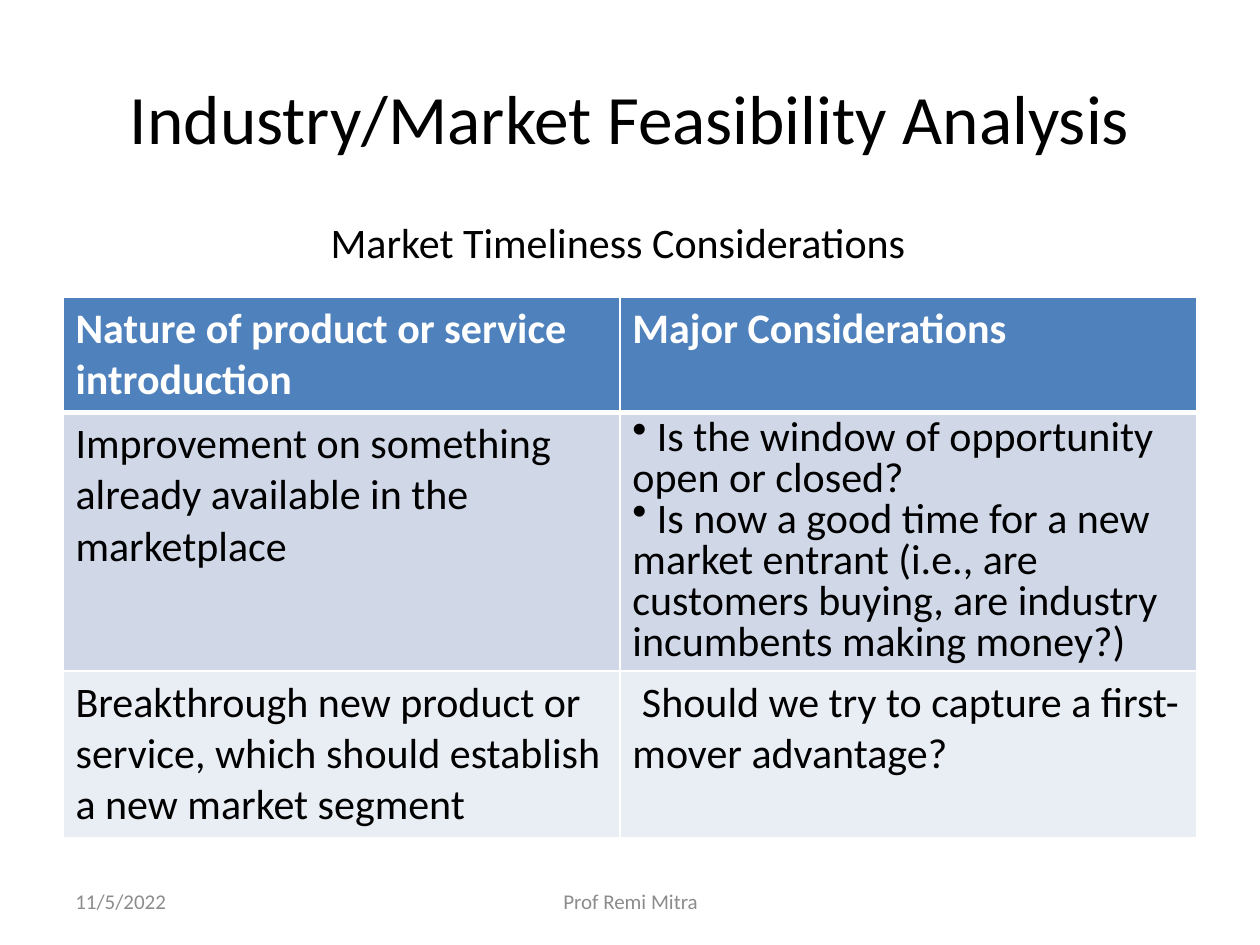
from lxml.etree import SubElement
from pptx import Presentation
from pptx.dml.color import RGBColor
from pptx.enum.text import MSO_ANCHOR, PP_ALIGN
from pptx.oxml.ns import qn
from pptx.util import Inches, Pt


def add_run(para, text, size, color, bold=False):
    span = para.add_run()
    span.text = text
    span.font.name = "Calibri"
    span.font.size = Pt(size)
    span.font.bold = bold
    span.font.color.rgb = RGBColor.from_string(color)


def set_border(cell, side, width):
    line = SubElement(cell._tc.get_or_add_tcPr(), qn("a:" + side), w=str(Pt(width)))
    fill = SubElement(line, qn("a:solidFill"))
    SubElement(fill, qn("a:srgbClr"), val="FFFFFF")


deck = Presentation()
deck.slide_width, deck.slide_height = Inches(10), Inches(7.5)
page = deck.slides.add_slide(deck.slide_layouts[5])

# Title
title = page.shapes.title
title.left, title.top = Inches(0.5), Inches(0.3)
title.width, title.height = Inches(9), Inches(1.25)
title.text_frame.vertical_anchor = MSO_ANCHOR.MIDDLE
para = title.text_frame.paragraphs[0]
para.alignment = PP_ALIGN.CENTER
add_run(para, "Industry/Market Feasibility Analysis", 39.6, "000000")

# Table: each cell is a list of paragraphs
rows = [
    [["Nature of product or service introduction"], ["Major Considerations"]],
    [["Improvement on something already available in the marketplace"],
     [" Is the window of opportunity open or closed?",
      " Is now a good time for a new market entrant (i.e., are customers buying, "
      "are industry incumbents making money?)"]],
    [["Breakthrough new product or service, which should establish a new market segment"],
     [" Should we try to capture a first-mover advantage?"]],
]
row_fills = ["4F81BD", "D0D8E8", "E9EDF4"]
table = page.shapes.add_table(3, 2, Inches(0.5), Inches(2.36), Inches(9), Inches(4.23)).table
for column, width in zip(table.columns, [4.42, 4.58]):
    column.width = Inches(width)
for row, height in zip(table.rows, [0.89, 2.03, 1.31]):
    row.height = Inches(height)

for r, row in enumerate(rows):
    header = r == 0
    for c, texts in enumerate(row):
        cell = table.cell(r, c)
        for side in ["lnL", "lnR", "lnT", "lnB"]:
            thick = (header and side == "lnB") or (r == 1 and side == "lnT")
            set_border(cell, side, 3 if thick else 1)
        cell.fill.solid()
        cell.fill.fore_color.rgb = RGBColor.from_string(row_fills[r])
        frame = cell.text_frame
        for i, text in enumerate(texts):
            para = frame.add_paragraph() if i else frame.paragraphs[0]
            if len(texts) > 1:
                para.line_spacing = 0.8
                SubElement(para._p.get_or_add_pPr(), qn("a:buChar"), char="•")
            add_run(para, text, 24, "FFFFFF" if header else "000000", header)

# Subtitle, date and footer
labels = [
    ("Market Timeliness Considerations", 2.5, 1.67, 4.81, 0.5, 24, "000000",
     PP_ALIGN.CENTER, MSO_ANCHOR.TOP, False),
    ("11/5/2022", 0.5, 6.95, 2.33, 0.4, 12, "8C8C8C",
     PP_ALIGN.LEFT, MSO_ANCHOR.MIDDLE, True),
    ("Prof Remi Mitra", 3.42, 6.95, 3.17, 0.4, 12, "8C8C8C",
     PP_ALIGN.CENTER, MSO_ANCHOR.MIDDLE, True),
]
for text, left, top, width, height, size, color, align, anchor, wrap in labels:
    box = page.shapes.add_textbox(Inches(left), Inches(top), Inches(width), Inches(height))
    box.text_frame.word_wrap = wrap
    box.text_frame.vertical_anchor = anchor
    para = box.text_frame.paragraphs[0]
    para.alignment = align
    add_run(para, text, size, color)

deck.save("out.pptx")
